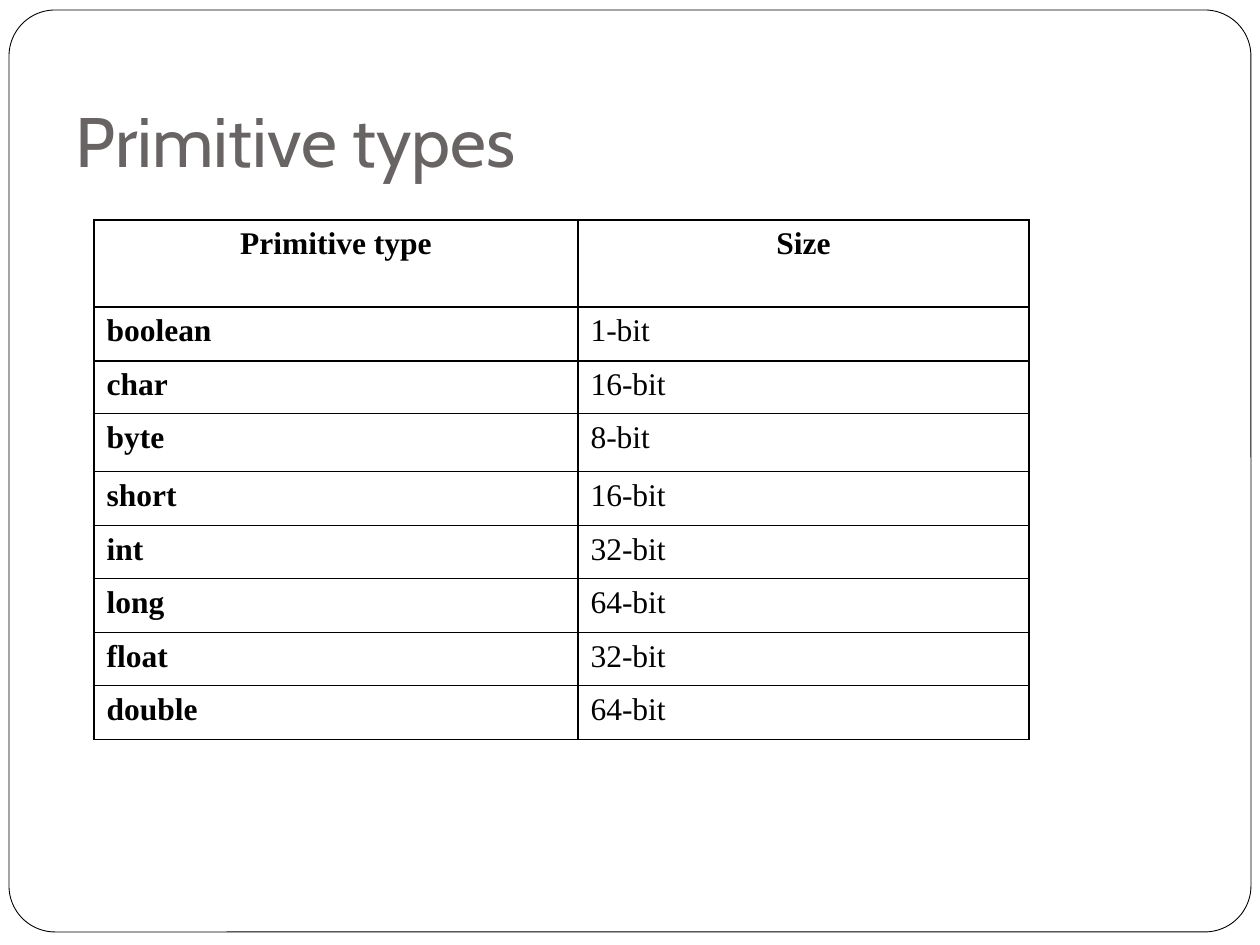
from dataclasses import dataclass
from itertools import pairwise

from lxml.etree import SubElement
from pptx import Presentation
from pptx.dml.color import RGBColor as Color
from pptx.enum.shapes import MSO_SHAPE as Shape
from pptx.enum.text import MSO_ANCHOR as Anchor, MSO_AUTO_SIZE as AutoSize, PP_ALIGN as Align
from pptx.oxml.ns import qn
from pptx.util import Emu, Pt


@dataclass(frozen=True)
class Theme:
    paper: Color = Color.from_string("FFFFFF")
    ink: Color = Color.from_string("000000")
    heading: Color = Color.from_string("696464")
    heading_font: str = "Cabin"
    table_font: str = "Times New Roman"
    heading_size: int = 40
    table_size: int = 18
    frame_line: float = 0.5
    grid_line: float = 0.75


THEME = Theme()
SLIDE_SIZE = (1260, 945)
HANGING = 48
COLUMNS = (484, 451)
ROW_EDGES = (0, 87, 141, 194, 252, 306, 359, 413, 466, 520)
ROWS = (
    ("Primitive type", "Size"),
    ("boolean", "1-bit"),
    ("char", "16-bit"),
    ("byte", "8-bit"),
    ("short", "16-bit"),
    ("int", "32-bit"),
    ("long", "64-bit"),
    ("float", "32-bit"),
    ("double", "64-bit"),
)


def px(length):
    return Emu(round(length * 914400 / 126))


def style_font(font, name, size, color, bold=False):
    font.name = name
    font.size = Pt(size)
    font.color.rgb = color
    font.bold = bold


def add_frame(page, box):
    frame = page.shapes.add_shape(Shape.ROUNDED_RECTANGLE, *map(px, box))
    frame.adjustments[0] = 0.05
    frame.shadow.inherit = False
    frame.fill.solid()
    frame.fill.fore_color.rgb = THEME.paper
    frame.line.color.rgb = THEME.ink
    frame.line.width = Pt(THEME.frame_line)
    page.shapes.title.element.addprevious(frame.element)


def place_title(page, box, wording):
    title = page.shapes.title
    title.left, title.top, title.width, title.height = map(px, box)
    text = title.text_frame
    text.text = wording
    text.auto_size = AutoSize.NONE
    text.word_wrap = True
    text.vertical_anchor = Anchor.BOTTOM
    text.margin_left = text.margin_right = text.margin_bottom = px(13)
    text.margin_top = px(6)
    para = text.paragraphs[0]
    para.alignment = Align.LEFT
    style_font(para.runs[0].font, THEME.heading_font, THEME.heading_size, THEME.heading)


def add_borders(cell):
    properties = cell._tc.get_or_add_tcPr()
    for position, side in enumerate(("lnL", "lnR", "lnT", "lnB")):
        line = SubElement(properties, qn(f"a:{side}"), w=str(Pt(THEME.grid_line)))
        fill = SubElement(line, qn("a:solidFill"))
        SubElement(fill, qn("a:srgbClr"), val=str(THEME.ink))
        properties.insert(position, line)


def fill_cell(cell, wording, bold, centered):
    cell.fill.background()
    add_borders(cell)
    cell.text_frame.text = wording
    para = cell.text_frame.paragraphs[0]
    para.alignment = Align.CENTER if centered else Align.LEFT
    properties = para._p.get_or_add_pPr()
    properties.set("marL", str(px(HANGING)))
    properties.set("indent", str(px(-HANGING)))
    style_font(para.runs[0].font, THEME.table_font, THEME.table_size, THEME.ink, bold)


def add_type_table(page, left, top):
    box = (left, top, sum(COLUMNS), ROW_EDGES[-1])
    table = page.shapes.add_table(len(ROWS), len(COLUMNS), *map(px, box)).table
    table.horz_banding = False
    for column, width in zip(table.columns, COLUMNS):
        column.width = px(width)
    for row, (start, end) in zip(table.rows, pairwise(ROW_EDGES)):
        row.height = px(end - start)
    for r, wordings in enumerate(ROWS):
        for c, wording in enumerate(wordings):
            header = r == 0
            fill_cell(table.cell(r, c), wording, header or c == 0, header)


def main():
    deck = Presentation()
    deck.slide_width, deck.slide_height = map(px, SLIDE_SIZE)
    page = deck.slides.add_slide(deck.slide_layouts[5])
    page.background.fill.solid()
    page.background.fill.fore_color.rgb = THEME.paper
    add_frame(page, (9, 10, 1242, 922))
    place_title(page, (63, 38, 1134, 157), "Primitive types")
    add_type_table(page, 94, 220)
    deck.save("out.pptx")


if __name__ == "__main__":
    main()
